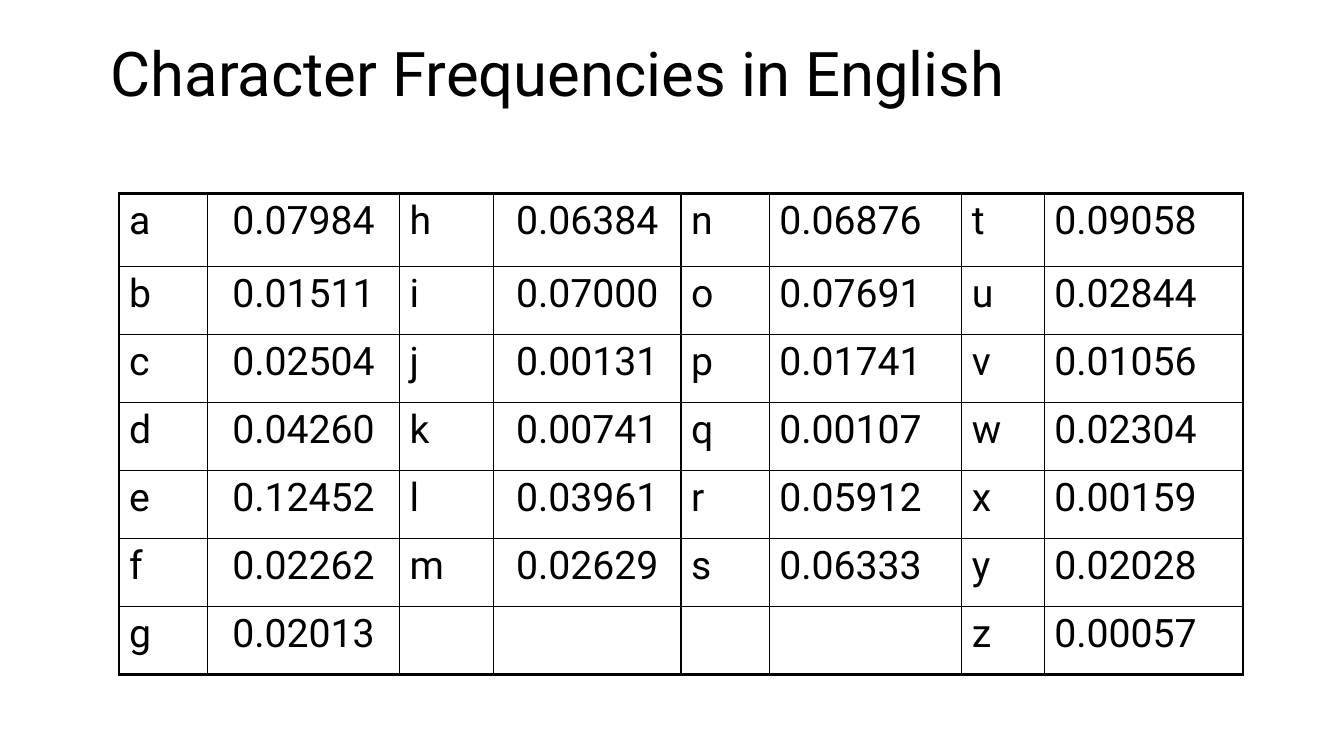
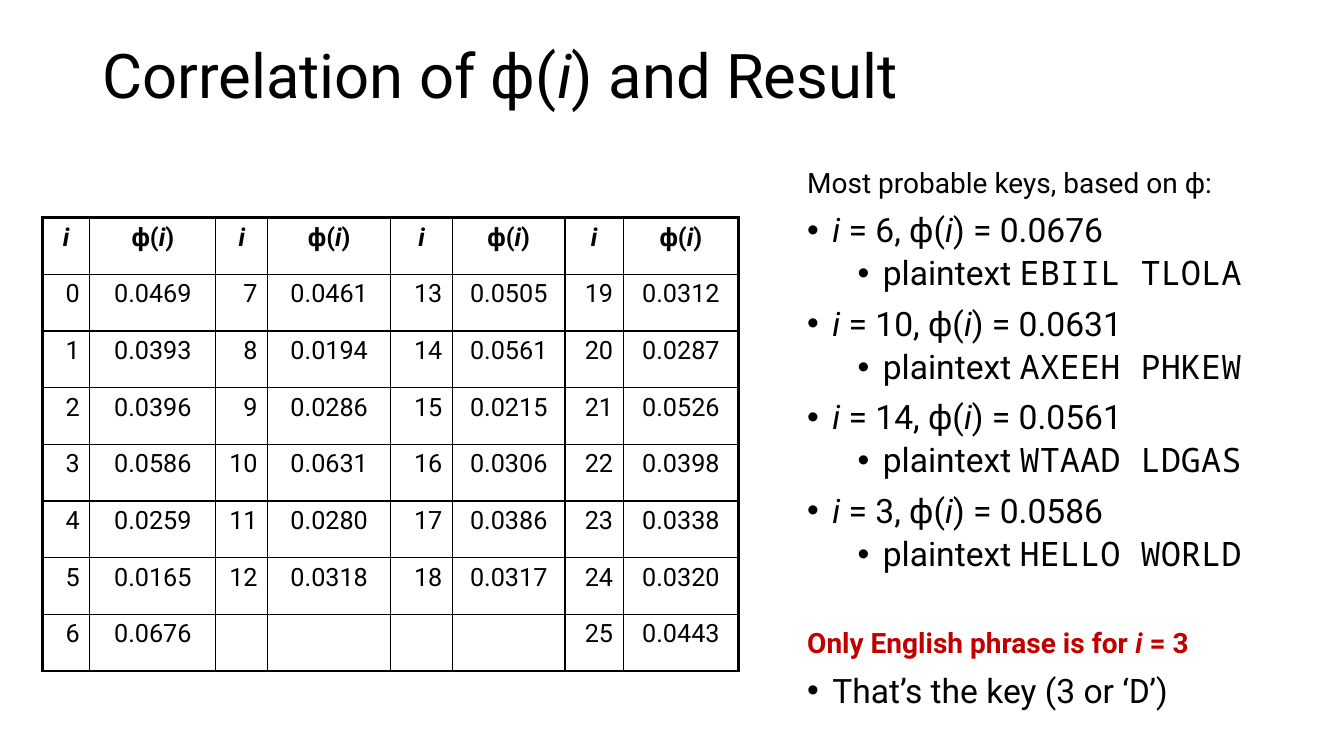
from itertools import zip_longest

from lxml.etree import SubElement
from pptx import Presentation
from pptx.dml.color import RGBColor
from pptx.enum.text import MSO_ANCHOR, PP_ALIGN
from pptx.oxml.ns import qn
from pptx.util import Pt

BLACK = RGBColor(0x00, 0x00, 0x00)
RED = RGBColor(0xC0, 0x00, 0x00)
SANS, MONO = "Roboto", "Noto Sans Mono"
LEFT, CENTER, RIGHT = PP_ALIGN.LEFT, PP_ALIGN.CENTER, PP_ALIGN.RIGHT
THIN, THICK = 1, 2.25

# In texts, *...* is italic and `...` is monospaced.
PHI = "ϕ(*i*)"

FREQUENCIES = [
    ("abcdefg", "0.07984 0.01511 0.02504 0.04260 0.12452 0.02262 0.02013"),
    ("hijklm", "0.06384 0.07000 0.00131 0.00741 0.03961 0.02629"),
    ("nopqrs", "0.06876 0.07691 0.01741 0.00107 0.05912 0.06333"),
    ("tuvwxyz", "0.09058 0.02844 0.01056 0.02304 0.00159 0.02028 0.00057"),
]
CORRELATIONS = [
    (range(0, 7), "0.0469 0.0393 0.0396 0.0586 0.0259 0.0165 0.0676"),
    (range(7, 13), "0.0461 0.0194 0.0286 0.0631 0.0280 0.0318"),
    (range(13, 19), "0.0505 0.0561 0.0215 0.0306 0.0386 0.0317"),
    (range(19, 26), "0.0312 0.0287 0.0526 0.0398 0.0338 0.0320 0.0443"),
]
PROBABLE_KEYS = [
    (6, "0.0676", "EBIIL TLOLA"),
    (10, "0.0631", "AXEEH PHKEW"),
    (14, "0.0561", "WTAAD LDGAS"),
    (3, "0.0586", "HELLO WORLD"),
]


def add_text(p, text, size=24, color=BLACK, bold=False, align=LEFT,
             spacing=None, before=0, bullet_indent=None):
    """Fill paragraph p, turning the inline marks into italic and mono runs."""
    p.alignment = align
    p.space_before = Pt(before)
    if spacing:
        p.line_spacing = spacing
    if bullet_indent:
        pPr = p._p.get_or_add_pPr()
        pPr.set("marL", str(Pt(bullet_indent)))
        pPr.set("indent", str(Pt(-18)))
        SubElement(pPr, qn("a:buFont"), typeface="Arial")
        SubElement(pPr, qn("a:buChar"), char="•")
    for i, part in enumerate(text.split("*")):
        for j, piece in enumerate(part.split("`")):
            if piece:
                r = p.add_run()
                r.text = piece
                r.font.name = MONO if j % 2 else SANS
                r.font.size = Pt(size)
                r.font.bold = bold
                r.font.italic = bool(i % 2)
                r.font.color.rgb = color


def add_box(slide, left, top, width, height, paragraphs):
    """Add a text box; paragraphs are (text, format) pairs."""
    tf = slide.shapes.add_textbox(Pt(left), Pt(top), Pt(width), Pt(height)).text_frame
    tf.word_wrap = True
    tf.vertical_anchor = MSO_ANCHOR.TOP
    for n, (text, fmt) in enumerate(paragraphs):
        p = tf.add_paragraph() if n else tf.paragraphs[0]
        add_text(p, text, spacing=0.9, **fmt)


def add_title(slide, text, left, top, width, height):
    add_box(slide, left, top, width, height, [(text, {"size": 44})])


def set_borders(cell, **widths):
    tcPr = cell._tc.get_or_add_tcPr()
    for n, side in enumerate("LRTB"):
        ln = SubElement(tcPr, qn("a:ln" + side), w=str(Pt(widths[side])))
        fill = SubElement(ln, qn("a:solidFill"))
        SubElement(fill, qn("a:srgbClr"), val=str(BLACK))
        tcPr.insert(n, ln)


def table_rows(blocks):
    """Lay blocks of (labels, values) side by side, padding the short ones."""
    columns = [column for labels, values in blocks
               for column in (map(str, labels), values.split())]
    return list(zip_longest(*columns, fillvalue=""))


def add_grid(slide, rows, left, top, widths, heights, aligns, size, header=False):
    last_row, last_col = len(rows) - 1, len(widths) - 1
    table = slide.shapes.add_table(len(rows), len(widths), Pt(left), Pt(top),
                                   Pt(sum(widths)), Pt(sum(heights))).table
    table.first_row = table.horz_banding = False
    for column, width in zip(table.columns, widths):
        column.width = Pt(width)
    for y, row in enumerate(rows):
        table.rows[y].height = Pt(heights[y])
        is_header = header and y == 0
        for x, text in enumerate(row):
            cell = table.cell(y, x)
            cell.fill.background()
            set_borders(cell,
                        L=THIN if x else THICK,
                        R=THICK if x == last_col else THIN,
                        T=THIN if y else THICK,
                        B=THICK if y == last_row else THIN)
            add_text(cell.text_frame.paragraphs[0], text, size=size, bold=is_header,
                     align=CENTER if is_header else aligns[x])


def frequency_slide(prs):
    slide = prs.slides.add_slide(prs.slide_layouts[6])
    add_title(slide, "Character Frequencies in English", 72, 27.4, 816, 61)
    add_grid(slide, table_rows(FREQUENCIES), 85, 138.2,
             widths=[63, 137.5, 67, 134, 63, 137.5, 59, 142],
             heights=[52] + [48.6] * 6,
             aligns=[LEFT, CENTER] * 2 + [LEFT] * 4, size=28)


def correlation_slide(prs):
    slide = prs.slides.add_slide(prs.slide_layouts[6])
    add_title(slide, "Correlation of ϕ(*i*) and Result", 66, 28.8, 828, 104.4)

    item = {"before": 10, "bullet_indent": 18}
    subitem = {"before": 5, "bullet_indent": 54}
    paragraphs = [("Most probable keys, based on ϕ:", {"size": 20, "before": 10})]
    for key, phi, plaintext in PROBABLE_KEYS:
        paragraphs += [(f"*i* = {key}, {PHI} = {phi}", item),
                       (f"plaintext `{plaintext}`", subitem)]
    paragraphs += [
        ("Only English phrase is for *i* = 3",
         {"size": 20, "color": RED, "bold": True, "before": 40}),
        ("That’s the key (3 or ‘`D`’)", item),
    ]
    add_box(slide, 569.5, 117.4, 374.4, 399.6, paragraphs)

    rows = [["*i*", PHI] * len(CORRELATIONS)] + table_rows(CORRELATIONS)
    add_grid(slide, rows, 30.2, 155.5,
             widths=[34, 90, 37, 88, 44, 80.5, 41.5, 82.5],
             heights=[40.5] * len(rows),
             aligns=[RIGHT, CENTER] * 4, size=18, header=True)


def main():
    prs = Presentation()
    prs.slide_width, prs.slide_height = Pt(960), Pt(540)
    frequency_slide(prs)
    correlation_slide(prs)
    prs.save("out.pptx")


if __name__ == "__main__":
    main()
